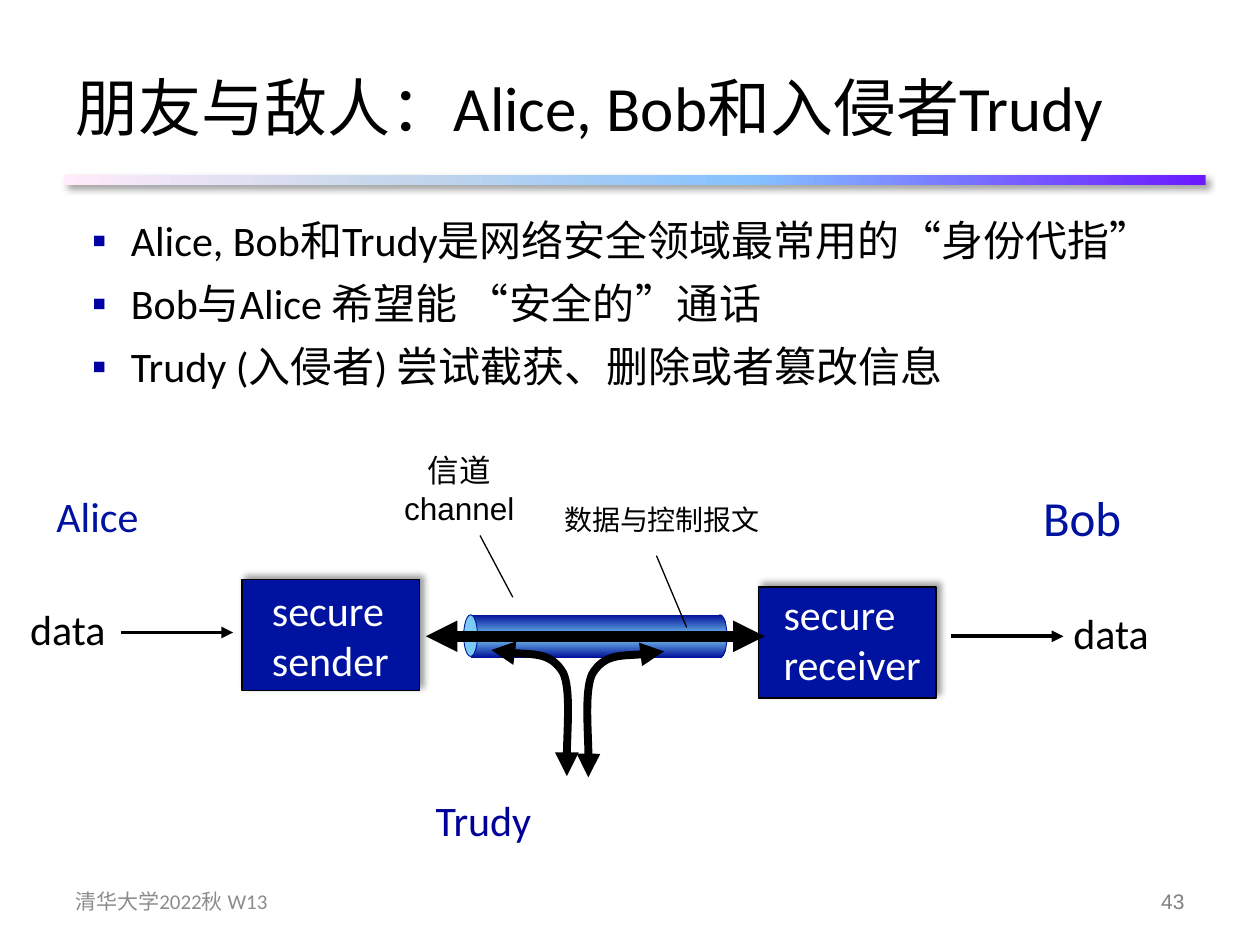
"""Build the slide that introduces Alice, Bob and the intruder Trudy."""
from lxml import etree
from pptx import Presentation
from pptx.dml.color import RGBColor
from pptx.enum.lang import MSO_LANGUAGE_ID
from pptx.enum.shapes import MSO_CONNECTOR, MSO_SHAPE
from pptx.enum.text import MSO_ANCHOR, MSO_AUTO_SIZE, PP_ALIGN
from pptx.oxml.ns import qn
from pptx.util import Inches, Pt

RECT, OVAL = MSO_SHAPE.RECTANGLE, MSO_SHAPE.OVAL
STRAIGHT = MSO_CONNECTOR.STRAIGHT
LEFT, CENTER, RIGHT = PP_ALIGN.LEFT, PP_ALIGN.CENTER, PP_ALIGN.RIGHT
TOP, MIDDLE = MSO_ANCHOR.TOP, MSO_ANCHOR.MIDDLE
NO_FIT, GROW = MSO_AUTO_SIZE.NONE, MSO_AUTO_SIZE.SHAPE_TO_FIT_TEXT
CHINESE = MSO_LANGUAGE_ID.SIMPLIFIED_CHINESE

BLACK, WHITE, NAVY, SKY, EDGE = "000000", "FFFFFF", "0012A0", "7ACCF4", "011199"
RULE_STOPS = [(0, "6B19FF"), (40, "85C2FF"), (70, "C4D6EB"), (100, "FFEBFA")]
PIPE_STOPS = [(0, EDGE), (52, SKY), (100, EDGE)]


def color(code):
    return RGBColor.from_string(code)


def add_child(parent, tag, **attributes):
    child = etree.SubElement(parent, qn(tag))
    for name, value in attributes.items():
        child.set(name, str(value))
    return child


class Painter:
    """Hold the style and the current slide."""

    def __init__(self, page, font="Calibri"):
        self.page = page
        self.font = font

    def fill_frame(self, frame, lines, size, code=BLACK, align=LEFT, font=None):
        for index, line in enumerate(lines):
            para = frame.paragraphs[0] if index == 0 else frame.add_paragraph()
            para.alignment = align
            span = para.add_run()
            span.text = line
            span.font.size = Pt(size)
            span.font.name = font or self.font
            span.font.color.rgb = color(code)
            span.font.language_id = CHINESE

    def title(self, area, text, size):
        box = self.page.shapes.title
        box.left, box.top, box.width, box.height = map(Inches, area)
        frame = box.text_frame
        frame.auto_size = NO_FIT
        frame.vertical_anchor = MIDDLE
        self.fill_frame(frame, [text], size)

    def text(self, area, lines, size, code=BLACK, align=LEFT, font=None,
             wrap=False, anchor=TOP, fit=GROW):
        frame = self.page.shapes.add_textbox(*map(Inches, area)).text_frame
        frame.word_wrap = wrap
        frame.auto_size = fit
        frame.vertical_anchor = anchor
        self.fill_frame(frame, lines, size, code, align, font)
        return frame

    def bullets(self, area, lines, size, bullet_code):
        frame = self.text(area, lines, size, wrap=True, fit=NO_FIT)
        for index, para in enumerate(frame.paragraphs):
            para.line_spacing = 0.9
            para.space_before = Pt(10 if index else 0)
            props = para._p.get_or_add_pPr()
            props.set("marL", str(Inches(0.39)))
            props.set("indent", str(Inches(-0.31)))
            add_child(add_child(props, "a:buClr"), "a:srgbClr", val=bullet_code)
            add_child(props, "a:buFont", typeface="Arial")
            add_child(props, "a:buChar", char="▪")

    def shape(self, kind, area, fill, line=None, weight=0.5, shadow_angle=None):
        shape = self.page.shapes.add_shape(kind, *map(Inches, area))
        shape.shadow.inherit = False
        if isinstance(fill, str):
            shape.fill.solid()
            shape.fill.fore_color.rgb = color(fill)
        else:
            self.gradient(shape, fill)
        if line:
            shape.line.color.rgb = color(line)
            shape.line.width = Pt(weight)
        else:
            shape.line.fill.background()
        if shadow_angle is not None:
            effects = shape.element.spPr.find(qn("a:effectLst"))
            shadow = add_child(effects, "a:outerShdw", blurRad=Pt(4), dist=Pt(3),
                               dir=shadow_angle * 60000, algn="tl", rotWithShape=0)
            tone = add_child(shadow, "a:srgbClr", val=BLACK)
            add_child(tone, "a:alpha", val=40000)

    def gradient(self, shape, stops):
        shape.fill.gradient()
        shape.fill.gradient_angle = 180 if stops is RULE_STOPS else 270
        stop_list = shape.element.spPr.find(qn("a:gradFill")).find(qn("a:gsLst"))
        for stop in list(stop_list):
            stop_list.remove(stop)
        for position, code in stops:
            stop = add_child(stop_list, "a:gs", pos=position * 1000)
            add_child(stop, "a:srgbClr", val=code)

    def stroke(self, shape, weight, head, tail):
        shape.line.color.rgb = color(BLACK)
        shape.line.width = Pt(weight)
        outline = shape.element.spPr.find(qn("a:ln"))
        if head:
            add_child(outline, "a:headEnd", type="triangle")
        if tail:
            add_child(outline, "a:tailEnd", type="triangle")

    def line(self, start, end, weight=0.75, head=False, tail=False):
        line = self.page.shapes.add_connector(STRAIGHT, *map(Inches, start + end))
        self.stroke(line, weight, head, tail)
        add_child(line.element.spPr, "a:effectLst")

    def curve(self, points, weight):
        start, *rest = [(Inches(x), Inches(y)) for x, y in points]
        builder = self.page.shapes.build_freeform(*start)
        builder.add_line_segments(rest, close=False)
        shape = builder.convert_to_shape()
        shape.shadow.inherit = False
        shape.fill.background()
        outline = next(shape.element.iter(qn("a:path")))
        segments = outline.findall(qn("a:lnTo"))
        for first in range(0, len(segments), 3):
            bezier = add_child(outline, "a:cubicBezTo")
            for segment in segments[first:first + 3]:
                bezier.append(segment[0])
                outline.remove(segment)
        self.stroke(shape, weight, True, True)


def main():
    deck = Presentation()
    deck.slide_width, deck.slide_height = Inches(10), Inches(7.5)
    page = deck.slides.add_slide(deck.slide_layouts[5])
    paint = Painter(page)

    paint.shape(RECT, (0.51, 1.39, 9.06, 0.08), RULE_STOPS, shadow_angle=45)
    paint.title((0.5, 0.3, 9, 1.09), "朋友与敌人：Alice, Bob和入侵者Trudy", 36)
    paint.text((0.5, 6.95, 2.33, 0.4), ["清华大学2022秋 W13"], 12, "8C8C8C",
               wrap=True, anchor=MIDDLE, fit=NO_FIT)
    paint.text((7.17, 6.95, 2.33, 0.4), ["43"], 12, "808080", RIGHT, "Arial",
               wrap=True, anchor=MIDDLE, fit=NO_FIT)
    paint.bullets((0.55, 1.7, 8.9, 1.77), [
        "Alice, Bob和Trudy是网络安全领域最常用的“身份代指”",
        "Bob与Alice 希望能 “安全的”通话",
        "Trudy (入侵者) 尝试截获、删除或者篡改信息",
    ], 24, "0000A3")

    paint.shape(RECT, (3.74, 4.88, 1.98, 0.34), PIPE_STOPS)
    paint.shape(OVAL, (3.68, 4.88, 0.11, 0.33), SKY, EDGE)
    paint.shape(OVAL, (5.66, 4.88, 0.11, 0.34), PIPE_STOPS, EDGE)
    paint.shape(RECT, (5.51, 4.88, 0.2, 0.34), PIPE_STOPS)

    for left, top, text_area, role in [
        (1.92, 4.6, (2.06, 4.59, 1.14, 0.91), "sender"),
        (6.02, 4.66, (6.12, 4.62, 1.31, 0.91), "receiver"),
    ]:
        paint.shape(RECT, (left, top, 1.41, 0.88), NAVY, BLACK, 0.75, 315)
        paint.text(text_area, ["secure", role], 24, WHITE)

    paint.text((3.1, 3.53, 1.09, 0.71), ["信道", "channel"], 18,
               align=CENTER, font="Arial")
    paint.line((3.81, 4.25), (4.07, 4.74))
    paint.line((3.38, 5.05), (6.07, 5.05), 6, head=True, tail=True)
    paint.text((4.38, 3.94, 1.98, 0.37), ["数据与控制报文"], 16,
               font="Arial", wrap=True)
    paint.line((5.21, 4.41), (5.45, 4.98))

    tap = [(3.9, 5.16), (4, 5.19), (4.37, 5.17), (4.47, 5.34),
           (4.53, 5.47), (4.49, 5.98), (4.5, 6.16)]
    paint.curve(tap, 4.5)
    paint.curve([(9.17 - x, y + 0.01) for x, y in tap], 4.5)

    for arrow_left, arrow_top, text_left in [(0.96, 5.02, 0.14), (7.55, 5.05, 8.42)]:
        paint.line((arrow_left, arrow_top), (arrow_left + 0.89, arrow_top),
                   2.25, tail=True)
        paint.text((text_left, arrow_top - 0.28, 0.81, 0.5), ["data"], 24)

    for area, name, size, code in [
        ((0.35, 3.84, 0.86, 0.5), "Alice", 24, NAVY),
        ((8.18, 3.82, 0.83, 0.57), "Bob", 28, NAVY),
        ((3.36, 6.26, 0.97, 0.5), "Trudy", 24, "000099"),
    ]:
        paint.text(area, [name], size, code)

    deck.save("out.pptx")


if __name__ == "__main__":
    main()
